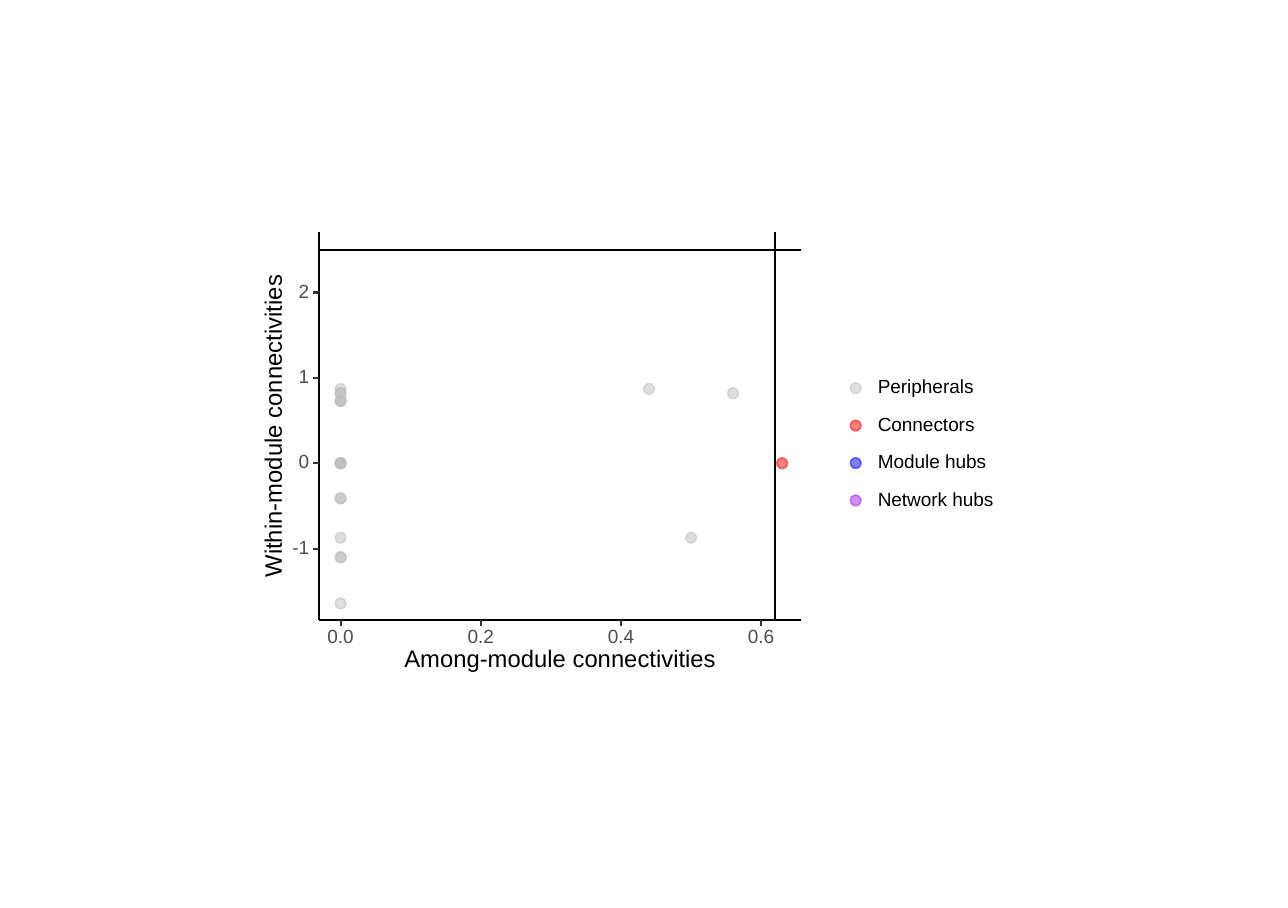
from lxml import etree
from pptx import Presentation
from pptx.dml.color import RGBColor
from pptx.enum.shapes import MSO_CONNECTOR, MSO_SHAPE
from pptx.enum.text import MSO_ANCHOR, PP_ALIGN
from pptx.oxml.ns import qn
from pptx.util import Pt

LEFT, CENTER, RIGHT = PP_ALIGN.LEFT, PP_ALIGN.CENTER, PP_ALIGN.RIGHT
MIDDLE = MSO_ANCHOR.MIDDLE
OVAL, STRAIGHT = MSO_SHAPE.OVAL, MSO_CONNECTOR.STRAIGHT

# Content: (among-module, within-module, number of nodes at that place)
NODES = {
    "Peripherals": [
        (0, 0.87, 1), (0, 0.82, 2), (0, 0.73, 3), (0, 0, 4),
        (0, -0.41, 2), (0, -0.87, 1), (0, -1.1, 2), (0, -1.64, 1),
        (0.44, 0.87, 1), (0.56, 0.82, 1), (0.5, -0.87, 1),
    ],
    "Connectors": [(0.63, 0, 1)],
    "Module hubs": [],
    "Network hubs": [],
}
X_TITLE, Y_TITLE = "Among-module connectivities", "Within-module connectivities"
X_TICKS, Y_TICKS = ["0.0", "0.2", "0.4", "0.6"], ["-1", "0", "1", "2"]
X_LIMIT, Y_LIMIT = 0.62, 2.5

COLORS = {
    "Peripherals": "BEBEBE", "Connectors": "FF0000",
    "Module hubs": "0000FF", "Network hubs": "A020F0",
    "axis": "000000", "tick": "333333", "tick label": "4D4D4D", "text": "000000",
}
FONT = "Arial"

# Layout, in points
PANEL_LEFT, PANEL_TOP, PANEL_RIGHT, PANEL_BOTTOM = 147.6, 107.3, 370.5, 286.7
ZERO_X, UNIT_X = 157.5, 324
ZERO_Y, UNIT_Y = 214.2, 39.5
TICK, DOT = 2.74, 5
LEGEND_X, LEGEND_TOP, LEGEND_STEP, LEGEND_GAP = 395.6, 179.5, 17.3, 10.2


def to_x(value):
    """Horizontal place of an among-module value."""
    return ZERO_X + value * UNIT_X


def to_y(value):
    """Vertical place of a within-module value."""
    return ZERO_Y - value * UNIT_Y


def make_half_clear(paint):
    """Give every solid colour in an element 50% opacity."""
    for color in paint.iter(qn("a:srgbClr")):
        etree.SubElement(color, qn("a:alpha"), val="50000")


def add_dot(x, y, color):
    """Draw one node centred on x, y."""
    dot = page.shapes.add_shape(OVAL, Pt(x - DOT / 2), Pt(y - DOT / 2), Pt(DOT), Pt(DOT))
    dot.shadow.inherit = False
    dot.fill.solid()
    dot.fill.fore_color.rgb = RGBColor.from_string(color)
    dot.line.color.rgb = RGBColor.from_string(color)
    dot.line.width = Pt(0.71)
    make_half_clear(dot.element.spPr)


def add_line(x1, y1, x2, y2, color):
    """Draw a straight line without shadow."""
    line = page.shapes.add_connector(STRAIGHT, Pt(x1), Pt(y1), Pt(x2), Pt(y2))
    line.line.color.rgb = RGBColor.from_string(color)
    line.line.width = Pt(1.07)
    etree.SubElement(line.element.spPr, qn("a:effectLst"))


def add_text(text, x, y, width, size=8.8, color="text", align=CENTER, rotation=0):
    """Write one line, aligned at x and centred vertically on y."""
    left = x - {LEFT: 0, CENTER: width / 2, RIGHT: width}[align]
    box = page.shapes.add_textbox(Pt(left), Pt(y - size / 2), Pt(width), Pt(size))
    box.rotation = rotation
    frame = box.text_frame
    frame.word_wrap = True
    frame.vertical_anchor = MIDDLE
    frame.margin_left = frame.margin_right = frame.margin_top = frame.margin_bottom = 0
    para = frame.paragraphs[0]
    para.alignment = align
    para.line_spacing = Pt(size)
    span = para.add_run()
    span.text = text
    span.font.name = FONT
    span.font.size = Pt(size)
    span.font.color.rgb = RGBColor.from_string(COLORS[color])


deck = Presentation()
deck.slide_width, deck.slide_height = Pt(595.44), Pt(419.76)
page = deck.slides.add_slide(deck.slide_layouts[6])

for role, nodes in NODES.items():
    for among, within, count in nodes:
        for _ in range(count):
            add_dot(to_x(among), to_y(within), COLORS[role])

for x in (to_x(X_LIMIT), PANEL_LEFT):
    add_line(x, PANEL_BOTTOM, x, PANEL_TOP, COLORS["axis"])
for y in (to_y(Y_LIMIT), PANEL_BOTTOM):
    add_line(PANEL_LEFT, y, PANEL_RIGHT, y, COLORS["axis"])

for label in X_TICKS:
    x = to_x(float(label))
    add_line(x, PANEL_BOTTOM + TICK, x, PANEL_BOTTOM, COLORS["tick"])
    add_text(label, x, PANEL_BOTTOM + 8.1, 20, color="tick label")
for label in Y_TICKS:
    y = to_y(float(label))
    add_line(PANEL_LEFT - TICK, y, PANEL_LEFT, y, COLORS["tick"])
    add_text(label, PANEL_LEFT - 4.7, y, 12, color="tick label", align=RIGHT)

add_text(X_TITLE, (PANEL_LEFT + PANEL_RIGHT) / 2, 305.3, 160, size=11)
add_text(Y_TITLE, 127.1, (PANEL_TOP + PANEL_BOTTOM) / 2, 160, size=11, rotation=270)

for row, role in enumerate(NODES):
    y = LEGEND_TOP + row * LEGEND_STEP
    add_dot(LEGEND_X, y, COLORS[role])
    add_text(role, LEGEND_X + LEGEND_GAP, y, 70, align=LEFT)

deck.save("out.pptx")
